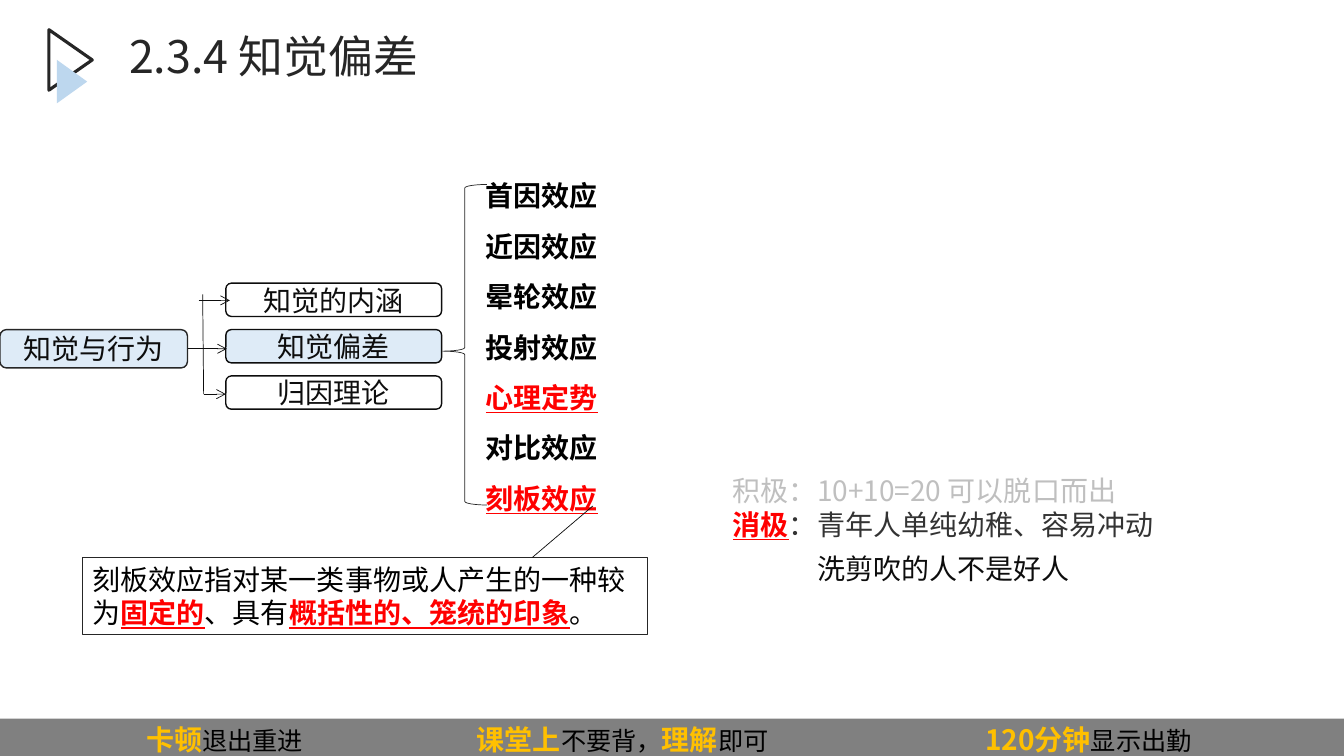
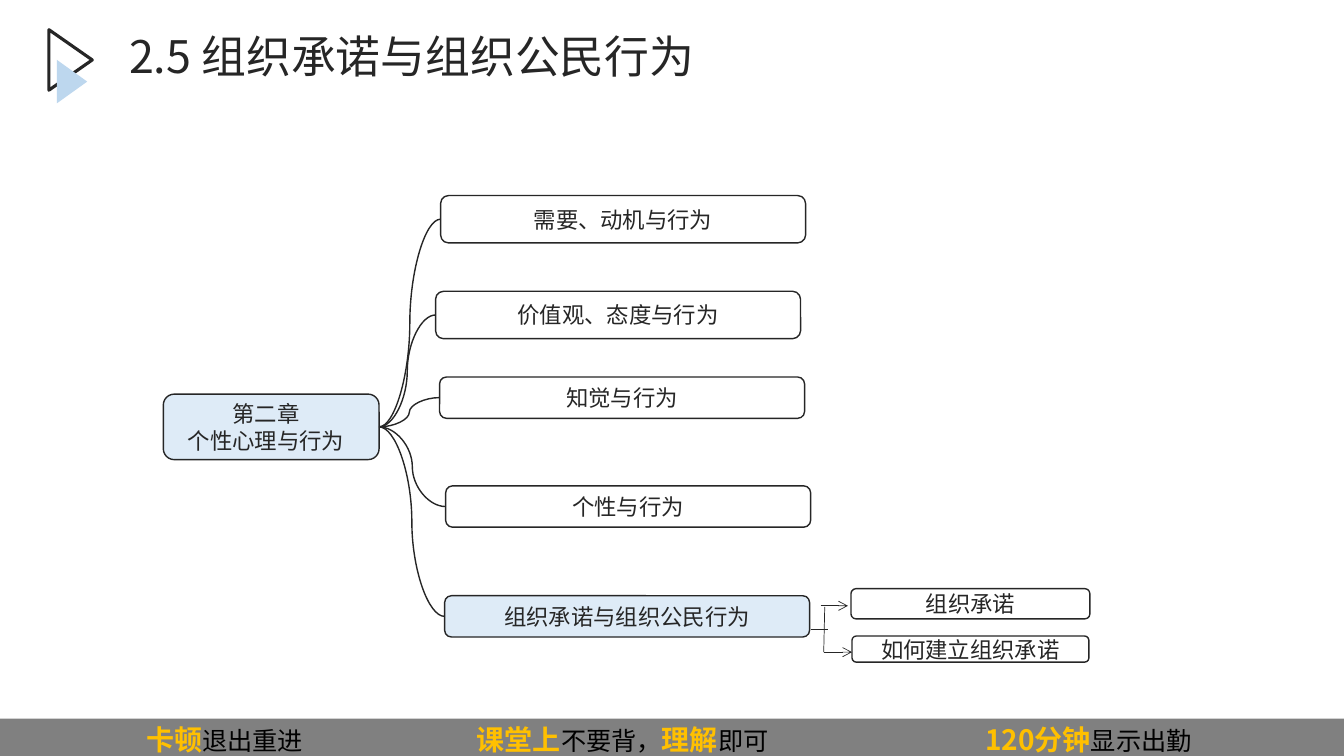
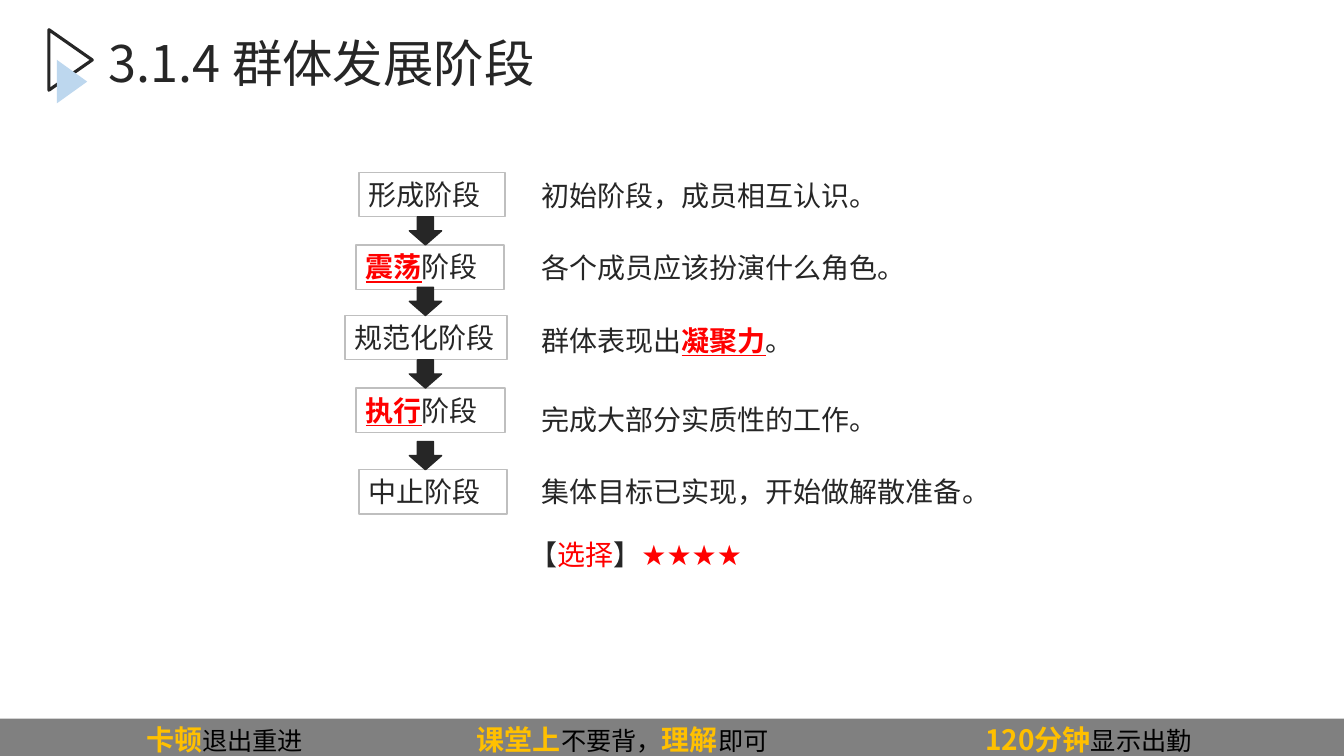
import dataclasses

import pptx
import pptx.dml.color
import pptx.enum.shapes
import pptx.enum.text
import pptx.oxml
import pptx.oxml.ns
import pptx.shapes.connector
import pptx.util

KIND = pptx.enum.shapes.MSO_SHAPE
CONNECTOR = pptx.enum.shapes.MSO_CONNECTOR
ALIGN = pptx.enum.text.PP_ALIGN
ANCHOR = pptx.enum.text.MSO_ANCHOR


@dataclasses.dataclass(frozen=True)
class Style:
    size: int
    colour: str
    bold: bool = False
    underline: bool = False


@dataclasses.dataclass(frozen=True)
class Theme:
    font: str = "Noto Sans CJK SC"
    symbol_font: str = "DejaVu Sans"
    dark: str = "262626"
    ink: str = "0D0D0D"
    pale_blue: str = "DEEBF7"
    light_blue: str = "BDD7EE"
    band: str = "808080"
    light_grey: str = "BFBFBF"
    title: Style = Style(32, "262626")
    large_title: Style = Style(36, "262626")
    body: Style = Style(20, "262626")
    node: Style = Style(20, "0D0D0D")
    topic: Style = Style(16, "262626")
    definition: Style = Style(20, "000000")
    effect: Style = Style(20, "000000", bold=True)
    example: Style = Style(20, "333333")
    key: Style = Style(20, "FF0000", bold=True, underline=True)
    rating: Style = Style(20, "FF0000")
    footer: Style = Style(18, "000000")
    footer_key: Style = Style(20, "FFC000", bold=True)


theme = Theme()
presentation = pptx.Presentation()
presentation.slide_width = pptx.util.Inches(13.33)
presentation.slide_height = pptx.util.Inches(7.5)
COLUMN = presentation.slide_width / 133.3
ROW = presentation.slide_height / 75


def write(shape, text, normal, strong=theme.key, align=ALIGN.LEFT, anchor=ANCHOR.TOP, spacing=1.0):
    """Fill a shape with one paragraph per line; parts between asterisks take the strong style."""
    frame = shape.text_frame
    frame.word_wrap = True
    frame.auto_size = pptx.enum.text.MSO_AUTO_SIZE.NONE
    frame.vertical_anchor = anchor
    frame.text = text.replace("*", "")
    for paragraph, line in zip(frame.paragraphs, text.split("\n")):
        paragraph.alignment = align
        paragraph.line_spacing = spacing
        paragraph.text = ""
        for index, part in enumerate(line.split("*")):
            if not part:
                continue
            style = strong if index % 2 else normal
            run = paragraph.add_run()
            run.text = part
            run.font.size = pptx.util.Pt(style.size)
            run.font.bold = style.bold
            run.font.underline = style.underline
            run.font.color.rgb = pptx.dml.color.RGBColor.from_string(style.colour)
            run.font.name = theme.symbol_font if "★" in part else theme.font
            east_asian = pptx.oxml.parse_xml(
                f'<a:ea {pptx.oxml.ns.nsdecls("a")} typeface="{run.font.name}"/>')
            run.font._element.find(pptx.oxml.ns.qn("a:latin")).addnext(east_asian)


def add_box(slide, kind, left, top, width, height, fill=None, line=None, weight=1):
    """Add a preset shape placed in grid columns and rows, without shadow."""
    shape = slide.shapes.add_shape(
        kind, round(left * COLUMN), round(top * ROW), round(width * COLUMN), round(height * ROW))
    shape.shadow.inherit = False
    if fill:
        shape.fill.solid()
        shape.fill.fore_color.rgb = pptx.dml.color.RGBColor.from_string(fill)
    else:
        shape.fill.background()
    if line:
        shape.line.color.rgb = pptx.dml.color.RGBColor.from_string(line)
        shape.line.width = pptx.util.Pt(weight)
    else:
        shape.line.fill.background()
    return shape


# Slides and titles
layout = presentation.slide_layouts[5]
for placeholder in list(layout.placeholders):
    if placeholder.placeholder_format.type != pptx.enum.shapes.PP_PLACEHOLDER.TITLE:
        placeholder.element.getparent().remove(placeholder.element)

slides = []
for text, style, left, top, width in [
    ("2.3.4 知觉偏差", theme.title, 11.8, 2.9, 76.3),
    ("2.5 组织承诺与组织公民行为", theme.title, 11.8, 2.9, 76.3),
    ("3.1.4 群体发展阶段", theme.large_title, 9.8, 3.4, 120),
]:
    slide = presentation.slides.add_slide(layout)
    title = slide.shapes.title
    title.left, title.top = round(left * COLUMN), round(top * ROW)
    title.width, title.height = round(width * COLUMN), round(9 * ROW)
    write(title, text, style, spacing=0.9)
    slides.append(slide)
bias_slide, chapter_slide, stage_slide = slides

# Shared emblem and footer band, moved to the layout
outline = add_box(bias_slide, KIND.ISOSCELES_TRIANGLE, 4, 3.8, 6, 4.3, line=theme.dark, weight=2.25)
accent = add_box(bias_slide, KIND.ISOSCELES_TRIANGLE, 5, 6.6, 4.3, 3, fill=theme.light_blue)
outline.rotation = accent.rotation = 90
footer = add_box(bias_slide, KIND.RECTANGLE, 0, 71.3, 133.3, 3.7, fill=theme.band)
write(footer, "*卡顿*退出重进\t*课堂上*不要背，*理解*即可\t*120分钟*显示出勤",
      theme.footer, theme.footer_key, anchor=ANCHOR.MIDDLE)
footer.text_frame.margin_left = round(14.5 * COLUMN)
footer.text_frame.margin_top = round(0.4 * ROW)
footer.text_frame.margin_right = footer.text_frame.margin_bottom = 0
stops = "".join(f'<a:tab pos="{round(column * COLUMN)}" algn="l"/>' for column in (32.8, 83.2))
footer.text_frame.paragraphs[0]._p.get_or_add_pPr().append(
    pptx.oxml.parse_xml(f'<a:tabLst {pptx.oxml.ns.nsdecls("a")}>{stops}</a:tabLst>'))
for shape in (outline, accent, footer):
    layout.shapes.element.append(shape.element)

# Perception biases
root = add_box(bias_slide, KIND.ROUNDED_RECTANGLE, 0, 32.7, 18.6, 3.8, theme.pale_blue, theme.dark)
write(root, "知觉与行为", theme.node, align=ALIGN.CENTER, anchor=ANCHOR.MIDDLE)
for index, (text, fill) in enumerate(
        [("知觉的内涵", None), ("知觉偏差", theme.pale_blue), ("归因理论", None)]):
    branch = add_box(bias_slide, KIND.ROUNDED_RECTANGLE, 22.4, 28.1 + 4.6 * index, 21.4, 3.3,
                     fill, theme.ink)
    write(branch, text, theme.node, align=ALIGN.CENTER, anchor=ANCHOR.MIDDLE)

brace = add_box(bias_slide, KIND.LEFT_BRACE, 43.9, 18.3, 4.4, 31.8, line=theme.dark, weight=0.5)
brace.adjustments[0], brace.adjustments[1] = 0.08, 0.52
effects = add_box(bias_slide, KIND.RECTANGLE, 47.2, 15.6, 13.3, 35.9)
write(effects, "首因效应\n近因效应\n晕轮效应\n投射效应\n*心理定势*\n对比效应\n*刻板效应*",
      theme.effect, spacing=1.5)

examples = add_box(bias_slide, KIND.RECTANGLE, 71.7, 46.5, 55.2, 7.7)
write(examples, "*积极：10+10=20 可以脱口而出*\n*消极*：青年人单纯幼稚、容易冲动", theme.example)
faded = examples.text_frame.paragraphs[0].runs[0].font
faded.bold = faded.underline = False
faded.color.rgb = pptx.dml.color.RGBColor.from_string(theme.light_grey)
stereotype = add_box(bias_slide, KIND.RECTANGLE, 80.1, 54.2, 41.4, 4.4)
write(stereotype, "洗剪吹的人不是好人", theme.node)
definition = add_box(bias_slide, KIND.RECTANGLE, 8.2, 55.3, 56, 7.7, line=theme.dark, weight=0.75)
write(definition, "刻板效应指对某一类事物或人产生的一种较为*固定的*、具有*概括性的、笼统的印象*。",
      theme.definition)

# Chapter map
chapter = add_box(chapter_slide, KIND.ROUNDED_RECTANGLE, 16.2, 39.1, 21.4, 6.5,
                  theme.pale_blue, theme.dark)
write(chapter, "第二章\n个性心理与行为", theme.topic, align=ALIGN.CENTER, anchor=ANCHOR.MIDDLE)
chapter.text_frame.paragraphs[0]._p.get_or_add_pPr().set("marR", str(round(COLUMN)))
for text, left, top, width, height, fill, linked in [
    ("需要、动机与行为", 43.7, 19.4, 36.2, 4.7, None, True),
    ("价值观、态度与行为", 43.2, 28.9, 36.2, 4.7, None, True),
    ("知觉与行为", 43.6, 37.4, 36.2, 4.1, None, True),
    ("个性与行为", 44.2, 48.2, 36.2, 4.1, None, True),
    ("组织承诺与组织公民行为", 44.1, 59.1, 36.2, 4.1, theme.pale_blue, True),
    ("组织承诺", 84.4, 58.4, 23.7, 3, None, False),
    ("如何建立组织承诺", 84.5, 63.1, 23.5, 2.6, None, False),
]:
    topic = add_box(chapter_slide, KIND.ROUNDED_RECTANGLE, left, top, width, height,
                    fill, theme.dark)
    write(topic, text, theme.topic, align=ALIGN.CENTER, anchor=ANCHOR.MIDDLE)
    if linked:
        curve = chapter_slide.shapes.add_connector(CONNECTOR.CURVE, 0, 0, 0, 0)
        curve.begin_connect(chapter, 3)
        curve.end_connect(topic, 1)
        curve.line.width = pptx.util.Pt(1)

# Group development stages
for index, (label, left, width, top, meaning, meaning_top) in enumerate([
    ("形成阶段", 35.6, 14.5, 17.1, "初始阶段，成员相互认识。", 17.2),
    ("*震荡*阶段", 35.3, 14.7, 24.3, "各个成员应该扮演什么角色。", 24.4),
    ("规范化阶段", 34.2, 16.1, 31.3, "群体表现出*凝聚力*。", 31.6),
    ("*执行*阶段", 35.3, 14.8, 38.5, "完成大部分实质性的工作。", 39.4),
    ("中止阶段", 35.6, 14.7, 46.6, "集体目标已实现，开始做解散准备。", 46.6),
]):
    stage = add_box(stage_slide, KIND.RECTANGLE, left, top, width, 4.4, line=theme.light_grey)
    write(stage, label, theme.body)
    description = add_box(stage_slide, KIND.RECTANGLE, 52.7, meaning_top, 48, 4.4)
    write(description, meaning, theme.body)
    if index:
        add_box(stage_slide, KIND.DOWN_ARROW, 40.6, top - 2.8, 3.2, 2.8, theme.dark, theme.dark)
rating = add_box(stage_slide, KIND.RECTANGLE, 51.5, 52.8, 24.2, 4.4)
write(rating, "【*选择*】*★★★★*", theme.body, theme.rating)

# Straight lines and arrows
for slide, start_x, start_y, end_x, end_y, arrow in [
    (bias_slide, 18.6, 34.6, 20.5, 34.6, False),
    (bias_slide, 20.2, 39.1, 20.1, 29.2, False),
    (bias_slide, 19.7, 29.8, 22.8, 29.8, True),
    (bias_slide, 20.1, 34.6, 22.5, 34.6, True),
    (bias_slide, 20.2, 39.1, 22.4, 39.1, True),
    (bias_slide, 58.8, 50.2, 52.8, 55.3, False),
    (chapter_slide, 80.4, 62.4, 82.1, 62.4, False),
    (chapter_slide, 81.7, 64.7, 81.8, 60.2, False),
    (chapter_slide, 81.4, 60.1, 84.1, 60.1, True),
    (chapter_slide, 81.7, 64.7, 84.5, 64.7, True),
]:
    line = slide.shapes.add_connector(
        CONNECTOR.STRAIGHT, round(start_x * COLUMN), round(start_y * ROW),
        round(end_x * COLUMN), round(end_y * ROW))
    line.line.width = pptx.util.Pt(0.5)
    if arrow:
        line.line._get_or_add_ln().append(
            pptx.oxml.parse_xml(f'<a:tailEnd {pptx.oxml.ns.nsdecls("a")} type="arrow"/>'))

for slide, colour in [(bias_slide, theme.ink), (chapter_slide, theme.dark)]:
    for shape in slide.shapes:
        if isinstance(shape, pptx.shapes.connector.Connector):
            shape.line.color.rgb = pptx.dml.color.RGBColor.from_string(colour)
            shape.element.spPr.append(
                pptx.oxml.parse_xml(f'<a:effectLst {pptx.oxml.ns.nsdecls("a")}/>'))

presentation.save("out.pptx")
